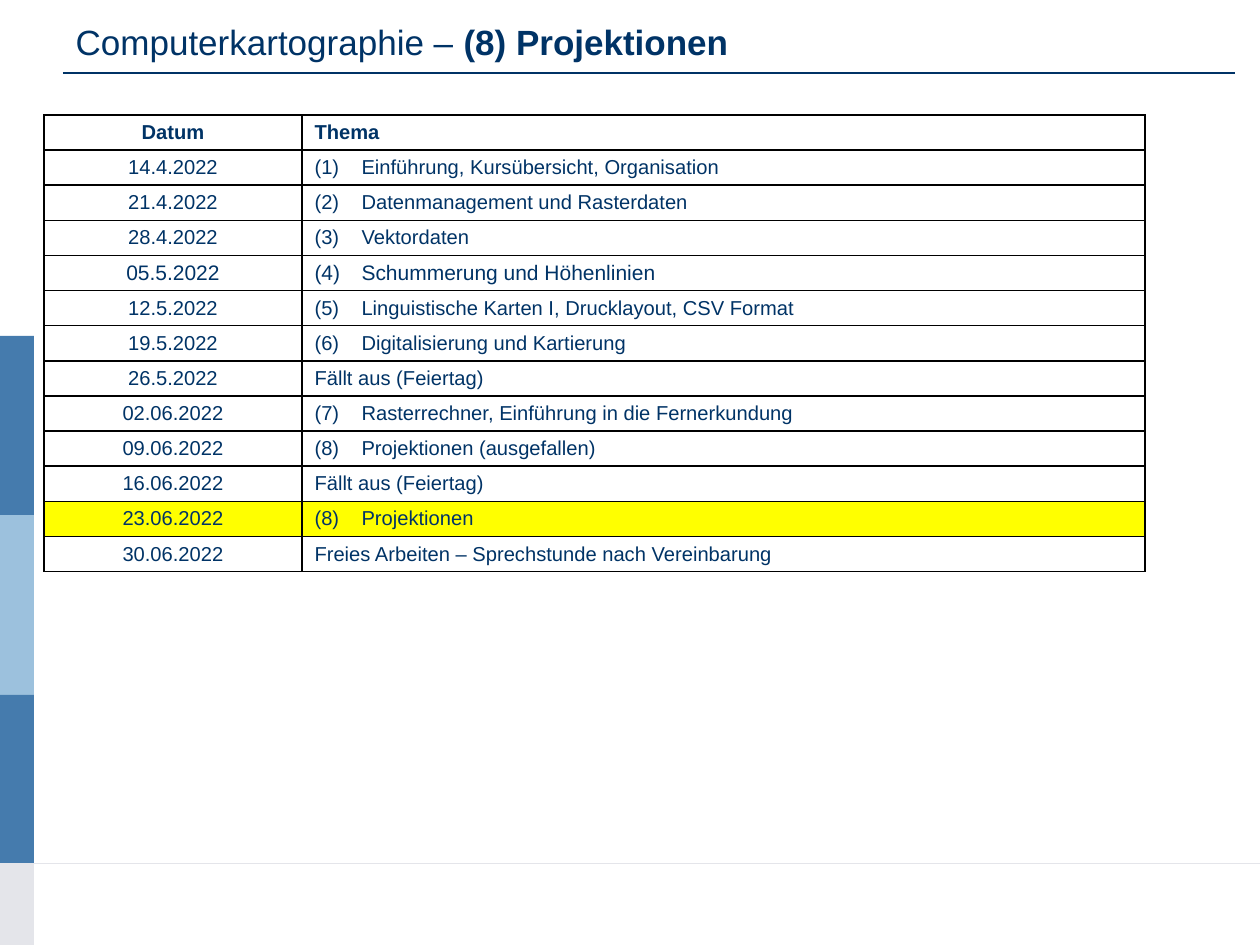
from typing import NamedTuple

from lxml.etree import SubElement as Sub
from pptx import Presentation
from pptx.dml.color import RGBColor
from pptx.enum.shapes import MSO_CONNECTOR as Conn, MSO_SHAPE as Shape
from pptx.enum.text import MSO_ANCHOR as Anchor, MSO_AUTO_SIZE as Fit, PP_ALIGN as Align
from pptx.oxml.ns import qn
from pptx.util import Pt

PX = 914400 // 126
NAVY, BLUE, PALE, GREY = "003366", "457BAD", "9CC1DD", "E4E5EA"
BLACK, YELLOW = "000000", "FFFF00"
INDENT = 47


class Bar(NamedTuple):
    top: int
    end: int
    color: str


class Rule(NamedTuple):
    left: int
    right: int
    y: int
    color: str
    width: float


class Row(NamedTuple):
    date: str
    topic: str
    size: float = 11.5
    bold: bool = False
    fill: str = ""


BARS = [Bar(336, 515, BLUE), Bar(515, 695, PALE), Bar(695, 864, BLUE), Bar(864, 945, GREY)]
RULES = [Rule(0, 1260, 864, GREY, 0.5), Rule(63, 1235, 73, NAVY, 0.75)]
ROWS = [
    Row("Datum", "Thema", bold=True),
    Row("14.4.2022", "(1)\tEinführung, Kursübersicht, Organisation"),
    Row("21.4.2022", "(2)\tDatenmanagement und Rasterdaten"),
    Row("28.4.2022", "(3)\tVektordaten"),
    Row("05.5.2022", "(4)\tSchummerung und Höhenlinien", size=12),
    Row("12.5.2022", "(5)\tLinguistische Karten I, Drucklayout, CSV Format"),
    Row("19.5.2022", "(6)\tDigitalisierung und Kartierung"),
    Row("26.5.2022", "Fällt aus (Feiertag)"),
    Row("02.06.2022", "(7)\tRasterrechner, Einführung in die Fernerkundung"),
    Row("09.06.2022", "(8)\tProjektionen (ausgefallen)"),
    Row("16.06.2022", "Fällt aus (Feiertag)"),
    Row("23.06.2022", "(8)\tProjektionen", fill=YELLOW),
    Row("30.06.2022", "Freies Arbeiten – Sprechstunde nach Vereinbarung"),
]


def rgb(color: str) -> RGBColor:
    return RGBColor.from_string(color)


def style(font, size: float, bold: bool = False) -> None:
    font.name, font.size, font.bold = "Arial", Pt(size), bold
    font.color.rgb = rgb(NAVY)


def draw_bar(slide, bar: Bar) -> None:
    box = slide.shapes.add_shape(
        Shape.RECTANGLE, 0, bar.top * PX, 34 * PX, (bar.end - bar.top) * PX)
    box.shadow.inherit = False
    box.fill.solid()
    box.fill.fore_color.rgb = rgb(bar.color)
    box.line.fill.background()


def draw_rule(slide, rule: Rule) -> None:
    line = slide.shapes.add_connector(
        Conn.STRAIGHT, rule.left * PX, rule.y * PX, rule.right * PX, rule.y * PX)
    line.line.color.rgb = rgb(rule.color)
    line.line.width = Pt(rule.width)
    Sub(line._element.spPr, qn("a:effectLst"))


def draw_title(slide) -> None:
    title = slide.shapes.title
    title.left, title.top, title.width, title.height = (n * PX for n in (63, 6, 1134, 70))
    frame = title.text_frame
    frame.auto_size, frame.vertical_anchor = Fit.NONE, Anchor.MIDDLE
    para = frame.paragraphs[0]
    para.alignment = Align.LEFT
    style(para.font, 20)
    para.add_run().text = "Computerkartographie – "
    topic = para.add_run()
    topic.text, topic.font.bold = "(8) Projektionen", True


def add_border(cell) -> None:
    props = cell._tc.get_or_add_tcPr()
    for side in ("lnL", "lnR", "lnT", "lnB"):
        edge = Sub(props, qn(f"a:{side}"), w=str(Pt(1)))
        Sub(Sub(edge, qn("a:solidFill")), qn("a:srgbClr"), val=BLACK)


def fill_cell(cell, text: str, row: Row, align: Align) -> None:
    add_border(cell)
    if row.fill:
        cell.fill.solid()
        cell.fill.fore_color.rgb = rgb(row.fill)
    else:
        cell.fill.background()
    cell.margin_top = cell.margin_bottom = 4 * PX
    cell.vertical_anchor = Anchor.MIDDLE
    para = cell.text_frame.paragraphs[0]
    para.text, para.alignment = text, align
    # Numbered topics hang on one tab stop
    if "\t" in text:
        props = para._p.get_or_add_pPr()
        props.set("marL", str(INDENT * PX))
        props.set("indent", str(-INDENT * PX))
        Sub(Sub(props, qn("a:tabLst")), qn("a:tab"), pos=str(INDENT * PX), algn="l")
    style(para.font, row.size, row.bold)


def draw_table(slide, rows: list[Row]) -> None:
    table = slide.shapes.add_table(
        len(rows), 2, 44 * PX, 115 * PX, 1101 * PX, 457 * PX).table
    table.first_row = table.horz_banding = False
    for col, width in zip(table.columns, (258, 843)):
        col.width = width * PX
    for i, row in enumerate(rows):
        fill_cell(table.cell(i, 0), row.date, row, Align.CENTER)
        fill_cell(table.cell(i, 1), row.topic, row, Align.LEFT)


def main() -> None:
    deck = Presentation()
    deck.slide_width, deck.slide_height = 1260 * PX, 945 * PX
    slide = deck.slides.add_slide(deck.slide_layouts[5])
    # Side strip and rules
    for bar in BARS:
        draw_bar(slide, bar)
    for rule in RULES:
        draw_rule(slide, rule)
    # Heading and schedule
    draw_title(slide)
    draw_table(slide, ROWS)
    deck.save("out.pptx")


if __name__ == "__main__":
    main()
